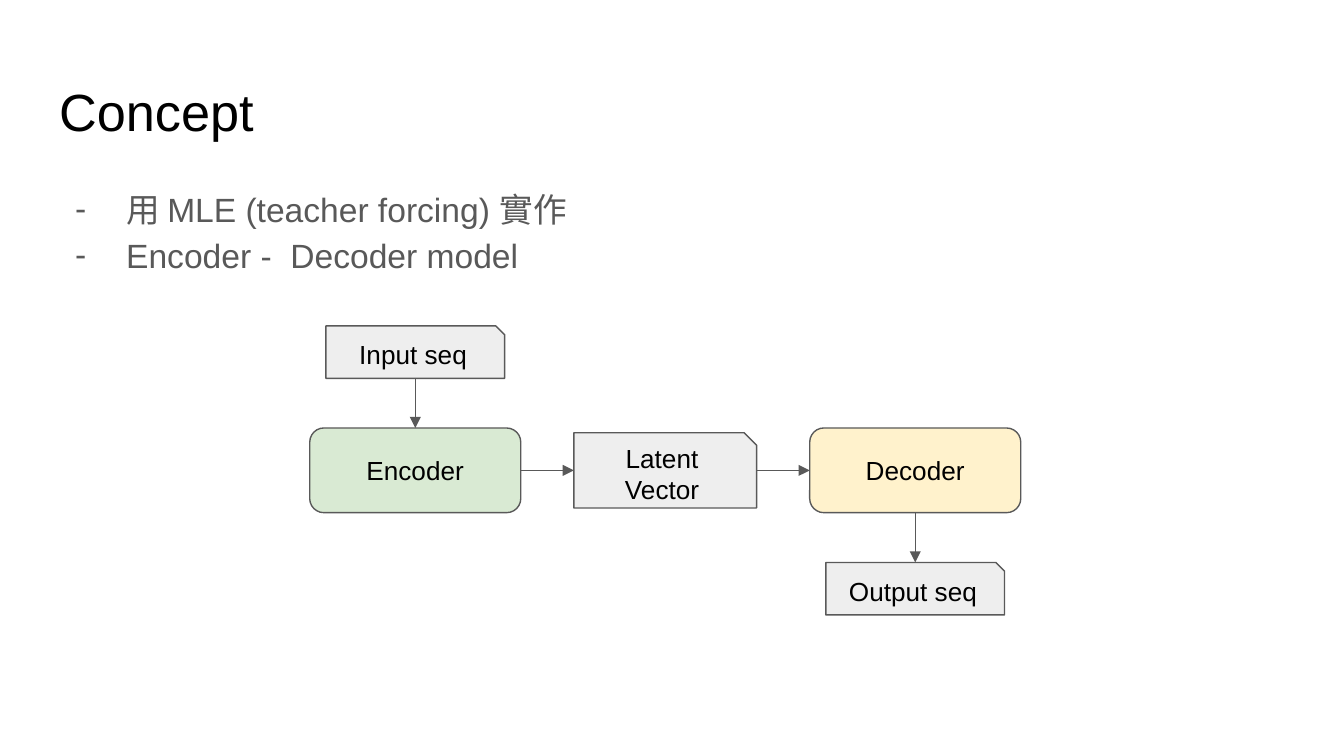
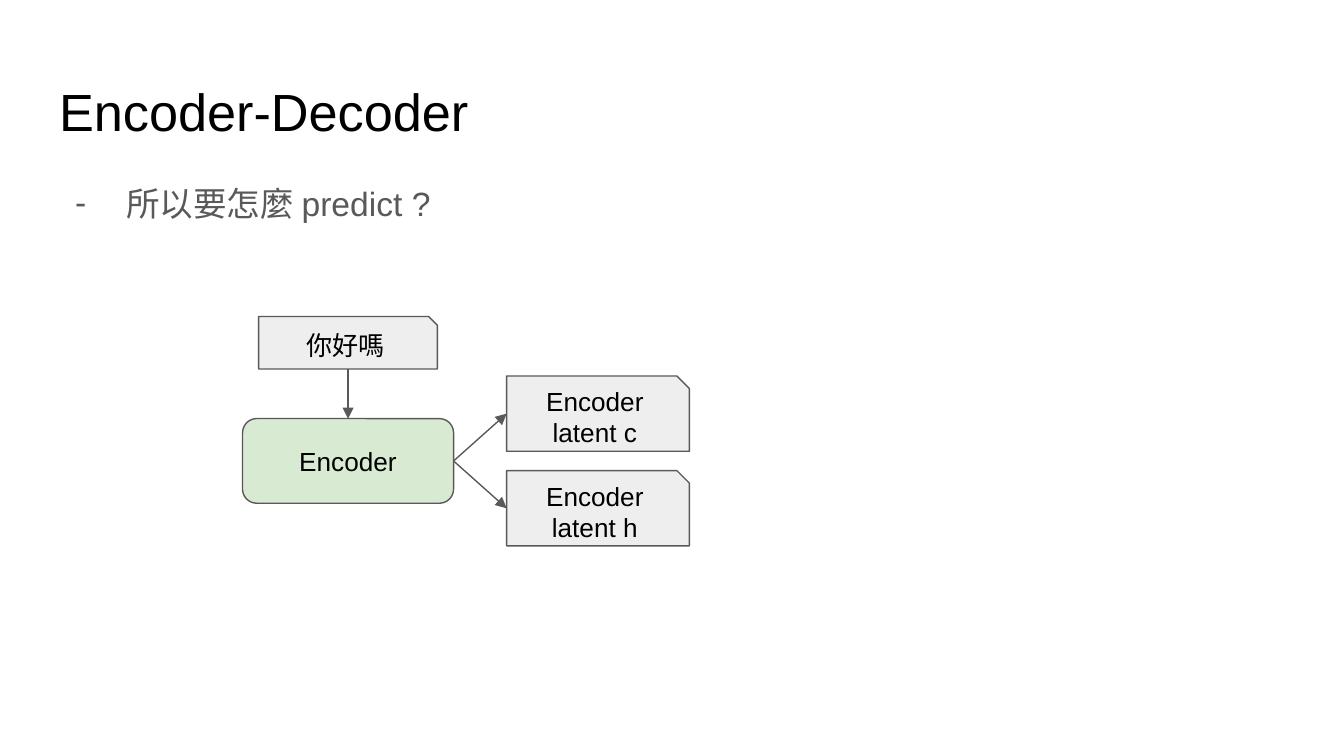
from lxml import etree
from pptx import Presentation
from pptx.dml.color import RGBColor
from pptx.enum.shapes import MSO_CONNECTOR, MSO_SHAPE
from pptx.enum.text import MSO_ANCHOR, MSO_AUTO_SIZE, PP_ALIGN
from pptx.oxml.ns import qn
from pptx.util import Inches, Pt

ROUNDED, SNIPPED = MSO_SHAPE.ROUNDED_RECTANGLE, MSO_SHAPE.SNIP_1_RECTANGLE
STRAIGHT = MSO_CONNECTOR.STRAIGHT
TOP, MIDDLE = MSO_ANCHOR.TOP, MSO_ANCHOR.MIDDLE
LEFT, CENTER = PP_ALIGN.LEFT, PP_ALIGN.CENTER
SITE_TOP, SITE_LEFT, SITE_BOTTOM, SITE_RIGHT = range(4)

FONT = "Arial"
COLORS = {
    "black": "000000",
    "gray": "595959",
    "encoder": "D9EAD3",
    "decoder": "FFF2CC",
    "data": "EEEEEE",
}

# Diagram grid: distance between node centres, in inches
COLUMN, ROW = 1.86, 0.88

# Node kinds: preset shape, fill, width, height
KINDS = {
    "encoder": (ROUNDED, "encoder", 1.57, 0.63),
    "decoder": (ROUNDED, "decoder", 1.57, 0.63),
    "sequence": (SNIPPED, "data", 1.33, 0.39),
    "latent": (SNIPPED, "data", 1.36, 0.56),
}

# Nodes: kind, text, column and row counted from the encoder
# Arrows: start node and site, end node and site
SLIDES = [
    {
        "title": "Concept",
        "bullets": ["用 MLE (teacher forcing) 實作", "Encoder -  Decoder model"],
        "line_spacing": 1.15,
        "encoder_center": (3.09, 3.5),
        "nodes": {
            "encoder": ("encoder", "Encoder", 0, 0),
            "decoder": ("decoder", "Decoder", 2, 0),
            "input": ("sequence", "Input seq", 0, -1),
            "latent": ("latent", "Latent Vector", 1, 0),
            "output": ("sequence", "Output seq", 2, 1),
        },
        "arrows": [
            ("input", SITE_BOTTOM, "encoder", SITE_TOP),
            ("encoder", SITE_RIGHT, "latent", SITE_LEFT),
            ("latent", SITE_RIGHT, "decoder", SITE_LEFT),
            ("decoder", SITE_BOTTOM, "output", SITE_TOP),
        ],
    },
    {
        "title": "Encoder-Decoder",
        "bullets": ["所以要怎麼 predict ?"],
        "line_spacing": 1.0,
        "encoder_center": (2.59, 3.43),
        "nodes": {
            "encoder": ("encoder", "Encoder", 0, 0),
            "input": ("sequence", "你好嗎", 0, -1),
            "latent c": ("latent", "Encoder\nlatent c", 1, -0.4),
            "latent h": ("latent", "Encoder\nlatent h", 1, 0.4),
        },
        "arrows": [
            ("input", SITE_BOTTOM, "encoder", SITE_TOP),
            ("encoder", SITE_RIGHT, "latent c", SITE_LEFT),
            ("encoder", SITE_RIGHT, "latent h", SITE_LEFT),
        ],
    },
]


def color(name):
    return RGBColor.from_string(COLORS[name])


def format_text(frame, size, color_name, alignment, anchor):
    frame.word_wrap = True
    frame.auto_size = MSO_AUTO_SIZE.NONE
    frame.vertical_anchor = anchor
    frame.margin_left = frame.margin_right = Inches(0.1)
    frame.margin_top = frame.margin_bottom = Inches(0.1)
    for paragraph in frame.paragraphs:
        paragraph.alignment = alignment
        paragraph.font.name = FONT
        paragraph.font.size = Pt(size)
        paragraph.font.color.rgb = color(color_name)


# Widescreen page, 16:9
presentation = Presentation()
presentation.slide_width = Inches(10)
presentation.slide_height = Inches(10 * 9 / 16)
title_only = presentation.slide_layouts[5]

for content in SLIDES:
    slide = presentation.slides.add_slide(title_only)

    # Title
    title = slide.shapes.title
    title.left, title.top = Inches(0.34), Inches(0.49)
    title.width, title.height = Inches(9.32), Inches(0.63)
    title.text_frame.text = content["title"]
    format_text(title.text_frame, 28, "black", LEFT, TOP)

    # Dashed list
    body = slide.shapes.add_textbox(
        Inches(0.34), Inches(1.26), Inches(9.32), Inches(0.95))
    body.text_frame.text = "\n".join(content["bullets"])
    format_text(body.text_frame, 18, "gray", LEFT, TOP)
    for paragraph in body.text_frame.paragraphs:
        paragraph.line_spacing = content["line_spacing"]
        properties = paragraph._p.get_or_add_pPr()
        properties.set("marL", str(Inches(0.5)))
        properties.set("indent", str(Inches(-0.38)))
        bullet_color = etree.SubElement(properties, qn("a:buClr"))
        etree.SubElement(bullet_color, qn("a:srgbClr"), val=COLORS["gray"])
        etree.SubElement(properties, qn("a:buSzPts"), val="1800")
        etree.SubElement(properties, qn("a:buFont"), typeface=FONT)
        etree.SubElement(properties, qn("a:buChar"), char="-")

    # Diagram nodes
    encoder_x, encoder_y = content["encoder_center"]
    nodes = {}
    for name, (kind, text, column, row) in content["nodes"].items():
        preset, fill, width, height = KINDS[kind]
        left = encoder_x + column * COLUMN - width / 2
        top = encoder_y + row * ROW - height / 2
        node = slide.shapes.add_shape(
            preset, Inches(left), Inches(top), Inches(width), Inches(height))
        node.shadow.inherit = False
        node.fill.solid()
        node.fill.fore_color.rgb = color(fill)
        node.line.color.rgb = color("gray")
        node.line.width = Pt(0.75)
        node.text_frame.text = text
        format_text(node.text_frame, 14, "black", CENTER, MIDDLE)
        nodes[name] = node

    # Arrows between nodes
    for start, start_site, end, end_site in content["arrows"]:
        arrow = slide.shapes.add_connector(STRAIGHT, 0, 0, 0, 0)
        arrow.begin_connect(nodes[start], start_site)
        arrow.end_connect(nodes[end], end_site)
        arrow.line.color.rgb = color("gray")
        arrow.line.width = Pt(0.75)
        etree.SubElement(arrow.line._get_or_add_ln(), qn("a:tailEnd"), type="triangle")
        etree.SubElement(arrow._element.spPr, qn("a:effectLst"))

presentation.save("out.pptx")
